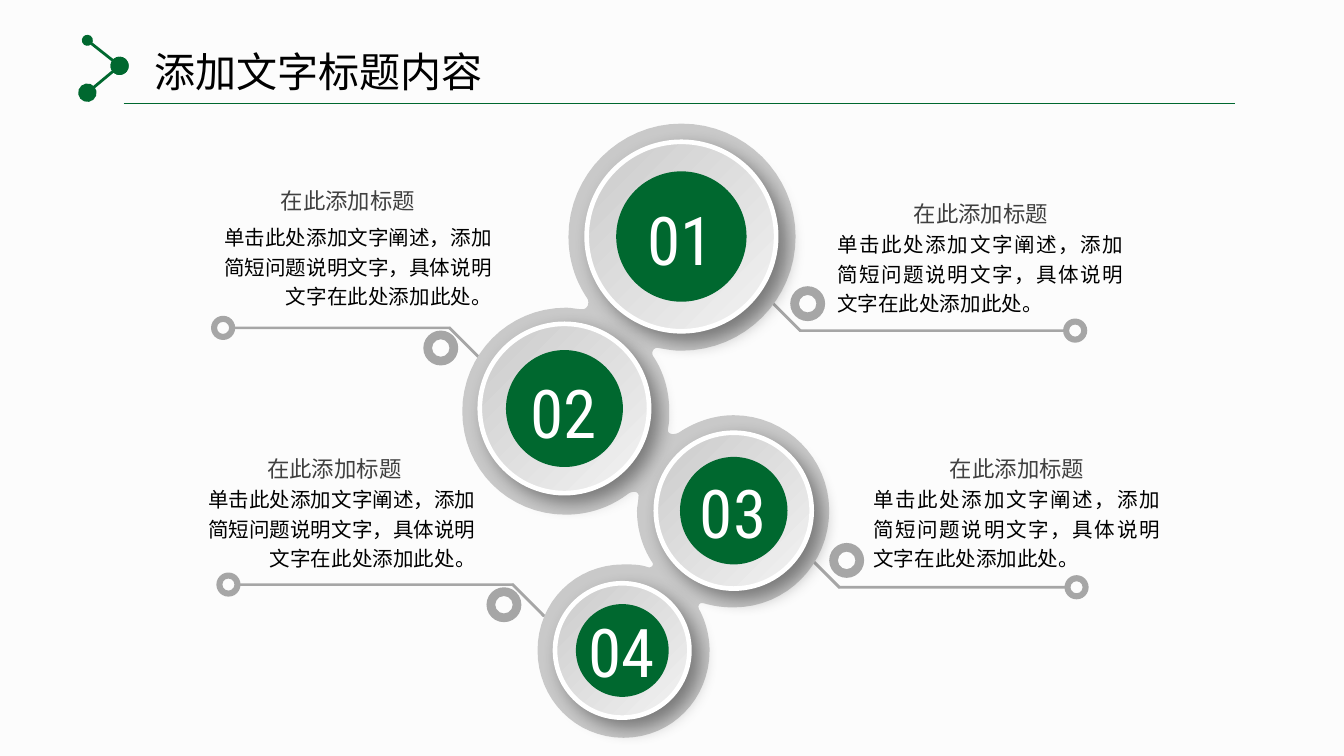
from lxml import etree
from pptx import Presentation
from pptx.dml.color import RGBColor
from pptx.enum.shapes import MSO_CONNECTOR, MSO_SHAPE
from pptx.enum.text import PP_ALIGN
from pptx.oxml.ns import qn
from pptx.util import Inches, Pt

LEFT, RIGHT, CENTER, JUSTIFY = (
    PP_ALIGN.LEFT, PP_ALIGN.RIGHT, PP_ALIGN.CENTER, PP_ALIGN.JUSTIFY)
OVAL, DONUT, RECT = MSO_SHAPE.OVAL, MSO_SHAPE.DONUT, MSO_SHAPE.RECTANGLE
STRAIGHT = MSO_CONNECTOR.STRAIGHT

CJK, LATIN = "Noto Sans CJK SC", "Roboto Condensed"
THEME = {
    "paper": "FCFCFC", "green": "00682F", "grey": "A6A6A6", "blob": "C9C9C9",
    "dark": "CBCBCB", "light": "F3F3F3", "white": "FFFFFF",
    "title": {"size": Pt(22), "name": CJK, "color": "000000"},
    "heading": {"size": Pt(12), "name": CJK, "color": "404040"},
    "body": {"size": Pt(11), "name": CJK, "color": "000000"},
    "number": {"size": Pt(36), "name": LATIN, "color": "FFFFFF"},
}

TITLE = "添加文字标题内容"
HEADING = "在此添加标题"
BODY = "单击此处添加文字阐述，添加简短问题说明文字，具体说明文字在此处添加此处。"

# start, end, start dot size, end dot size
LOGO_LINES = [((0.65, 0.3), (0.89, 0.49), "med", "lg"),
              ((0.89, 0.49), (0.65, 0.69), "lg", "lg")]
# number, disc centre, disc diameter, core diameter, number box top
DISCS = [("01", (5.07, 1.76), 1.41, 0.97, 1.43),
         ("02", (4.2, 3.04), 1.26, 0.87, 2.71),
         ("03", (5.46, 3.8), 1.16, 0.8, 3.46),
         ("04", (4.63, 4.84), 1, 0.69, 4.49)]
# side, elbow of the leader, centre x of its end ring
LEADERS = [("right", (5.95, 2.47), 8), ("right", (6.24, 4.38), 8.01),
           ("left", (3.35, 2.43), 1.66), ("left", (3.82, 4.34), 1.7)]
SIDES = {"right": {"sign": 1, "big_ring": (0.06, -0.21)},
         "left": {"sign": -1, "big_ring": (-0.07, 0.16)}}
# heading left and top, body left and top, body alignment
NOTES = [((1.99, 1.34), (1.43, 1.59), RIGHT), ((1.89, 3.34), (1.31, 3.54), RIGHT),
         ((6.7, 1.44), (6.13, 1.64), JUSTIFY), ((6.97, 3.34), (6.4, 3.54), JUSTIFY)]
# Bezier outline joining the four discs: two controls and an end per row
BLOB_START = (5.46, 3.09)
BLOB_CURVES = [
    (5.31, 3.09, 5.17, 3.14, 5.05, 3.22), (5.01, 3.24, 4.96, 3.23, 4.97, 3.19),
    (4.98, 3.15, 4.98, 3.11, 4.98, 3.06), (4.98, 2.91, 4.94, 2.77, 4.86, 2.65),
    (4.84, 2.62, 4.87, 2.58, 4.9, 2.59), (4.96, 2.6, 5.01, 2.61, 5.07, 2.61),
    (5.54, 2.61, 5.92, 2.23, 5.92, 1.76), (5.92, 1.3, 5.54, 0.92, 5.07, 0.92),
    (4.61, 0.92, 4.23, 1.3, 4.23, 1.76), (4.23, 1.93, 4.28, 2.09, 4.37, 2.22),
    (4.39, 2.26, 4.37, 2.31, 4.32, 2.3), (4.29, 2.3, 4.25, 2.29, 4.21, 2.29),
    (3.78, 2.29, 3.44, 2.64, 3.44, 3.06), (3.44, 3.49, 3.78, 3.83, 4.21, 3.83),
    (4.39, 3.83, 4.55, 3.77, 4.68, 3.67), (4.72, 3.65, 4.76, 3.66, 4.75, 3.7),
    (4.75, 3.74, 4.74, 3.77, 4.74, 3.8), (4.74, 3.94, 4.78, 4.07, 4.85, 4.18),
    (4.87, 4.2, 4.85, 4.23, 4.82, 4.22), (4.76, 4.2, 4.7, 4.2, 4.64, 4.2),
    (4.28, 4.2, 4, 4.48, 4, 4.84), (4, 5.2, 4.28, 5.49, 4.64, 5.49),
    (5, 5.49, 5.28, 5.2, 5.28, 4.84), (5.28, 4.73, 5.25, 4.62, 5.2, 4.53),
    (5.19, 4.5, 5.21, 4.48, 5.24, 4.49), (5.31, 4.51, 5.38, 4.52, 5.46, 4.52),
    (5.85, 4.52, 6.17, 4.2, 6.17, 3.8), (6.17, 3.41, 5.85, 3.09, 5.46, 3.09)]

prs = Presentation()
prs.slide_width = Inches(10)
prs.slide_height = prs.slide_width * 9 // 16
s = prs.slides.add_slide(prs.slide_layouts[6])
s.background.fill.solid()
s.background.fill.fore_color.rgb = RGBColor.from_string(THEME["paper"])


def paint(sp, color):
    sp.shadow.inherit = False
    sp.fill.solid()
    sp.fill.fore_color.rgb = RGBColor.from_string(color)
    sp.line.fill.background()
    return sp


def add_shape(kind, x, y, w, h, color):
    return paint(s.shapes.add_shape(kind, *map(Inches, (x, y, w, h))), color)


def add_round(kind, center, d, color):
    return add_shape(kind, center[0] - d / 2, center[1] - d / 2, d, d, color)


def add_polygon(points, color):
    first, *rest = [(Inches(x), Inches(y)) for x, y in points]
    builder = s.shapes.build_freeform(*first)
    builder.add_line_segments(rest, close=True)
    return paint(builder.convert_to_shape(), color)


def add_line(start, end, width, dots=()):
    line = s.shapes.add_connector(STRAIGHT, *map(Inches, (*start, *end)))
    line.line.width = Pt(width)
    line.line.color.rgb = RGBColor.from_string(THEME["green"])
    ln = line._element.spPr.find(qn("a:ln"))
    for tag, size in zip(("a:headEnd", "a:tailEnd"), dots):
        etree.SubElement(ln, qn(tag), type="oval", w=size, len=size)
    etree.SubElement(line._element.spPr, qn("a:effectLst"))


def add_shadow(parent, blur, dist, alpha):
    """Put a black shadow towards the lower right on shape or run properties."""
    effects = parent.find(qn("a:effectLst"))
    if effects is None:
        effects = etree.SubElement(parent, qn("a:effectLst"))
    shadow = etree.SubElement(effects, qn("a:outerShdw"), blurRad=str(Pt(blur)),
                              dist=str(Pt(dist)), dir="2700000", algn="tl")
    color = etree.SubElement(shadow, qn("a:srgbClr"), val="000000")
    etree.SubElement(color, qn("a:alpha"), val=str(alpha * 1000))


def add_text(text, x, y, w, h, style, align=LEFT, spacing=None):
    tf = s.shapes.add_textbox(*map(Inches, (x, y, w, h))).text_frame
    tf.word_wrap = True
    p = tf.paragraphs[0]
    p.alignment, p.line_spacing = align, spacing
    r = p.add_run()
    r.text = text
    for key, value in THEME[style].items():
        if key == "color":
            r.font.color.rgb = RGBColor.from_string(value)
        else:
            setattr(r.font, key, value)
    if THEME[style]["name"] == CJK:
        etree.SubElement(r.font._element, qn("a:ea"), typeface=CJK)
    return r


def trace(start, curves, steps=16):
    """Sample a chain of cubic Bezier curves as points."""
    points = [start]
    for x1, y1, x2, y2, x3, y3 in curves:
        x0, y0 = points[-1]
        for i in range(1, steps + 1):
            t = i / steps
            u = 1 - t
            a, b, c, d = u ** 3, 3 * u * u * t, 3 * u * t * t, t ** 3
            points.append((a * x0 + b * x1 + c * x2 + d * x3,
                           a * y0 + b * y1 + c * y2 + d * y3))
    return points


for start, end, *dots in LOGO_LINES:
    add_line(start, end, 1.5, dots)
add_line((0.92, 0.77), (9.19, 0.77), 1)

for side, (x, y), end_x in LEADERS:
    sign = SIDES[side]["sign"]
    bar_end = end_x - sign * 0.06
    bar_top = y - 0.02 if sign > 0 else y
    add_shape(RECT, min(x, bar_end), bar_top, abs(bar_end - x), 0.02, THEME["grey"])
    corners = [(0, 0), (-0.25, -0.25), (-0.22, -0.25), (0.02, -0.01)]
    add_polygon([(x + sign * dx, y + sign * dy) for dx, dy in corners], THEME["grey"])
    dx, dy = SIDES[side]["big_ring"]
    add_round(DONUT, (x + dx, y + dy), 0.26, THEME["grey"])
    add_round(DONUT, (end_x, bar_top + 0.01), 0.18, THEME["grey"])

add_polygon(trace(BLOB_START, BLOB_CURVES), THEME["blob"])

for number, center, outer, core, text_y in DISCS:
    disc = add_round(OVAL, center, outer, THEME["dark"])
    disc.fill.gradient()
    disc.fill.gradient_angle = 315
    for stop, name in zip(disc.fill.gradient_stops, ("dark", "light")):
        stop.color.rgb = RGBColor.from_string(THEME[name])
    disc.line.width = Pt(2.5)
    disc.line.color.rgb = RGBColor.from_string(THEME["white"])
    add_shadow(disc._element.spPr, 10, 6, 40)
    add_round(OVAL, center, core, THEME["green"])
    r = add_text(number, center[0] - 0.57, text_y, 1.13, 0.71, "number", CENTER)
    latin = r.font._element.find(qn("a:latin"))
    add_shadow(r.font._element, 3, 2, 40)
    r.font._element.append(latin)

for heading_at, body_at, align in NOTES:
    add_text(HEADING, *heading_at, 1.36, 0.3, "heading")
    add_text(BODY, *body_at, 2.33, 0.77, "body", align, 1.2)

add_text(TITLE, 0.86, 0.3, 3.02, 0.45, "title", CENTER)

prs.save("out.pptx")
